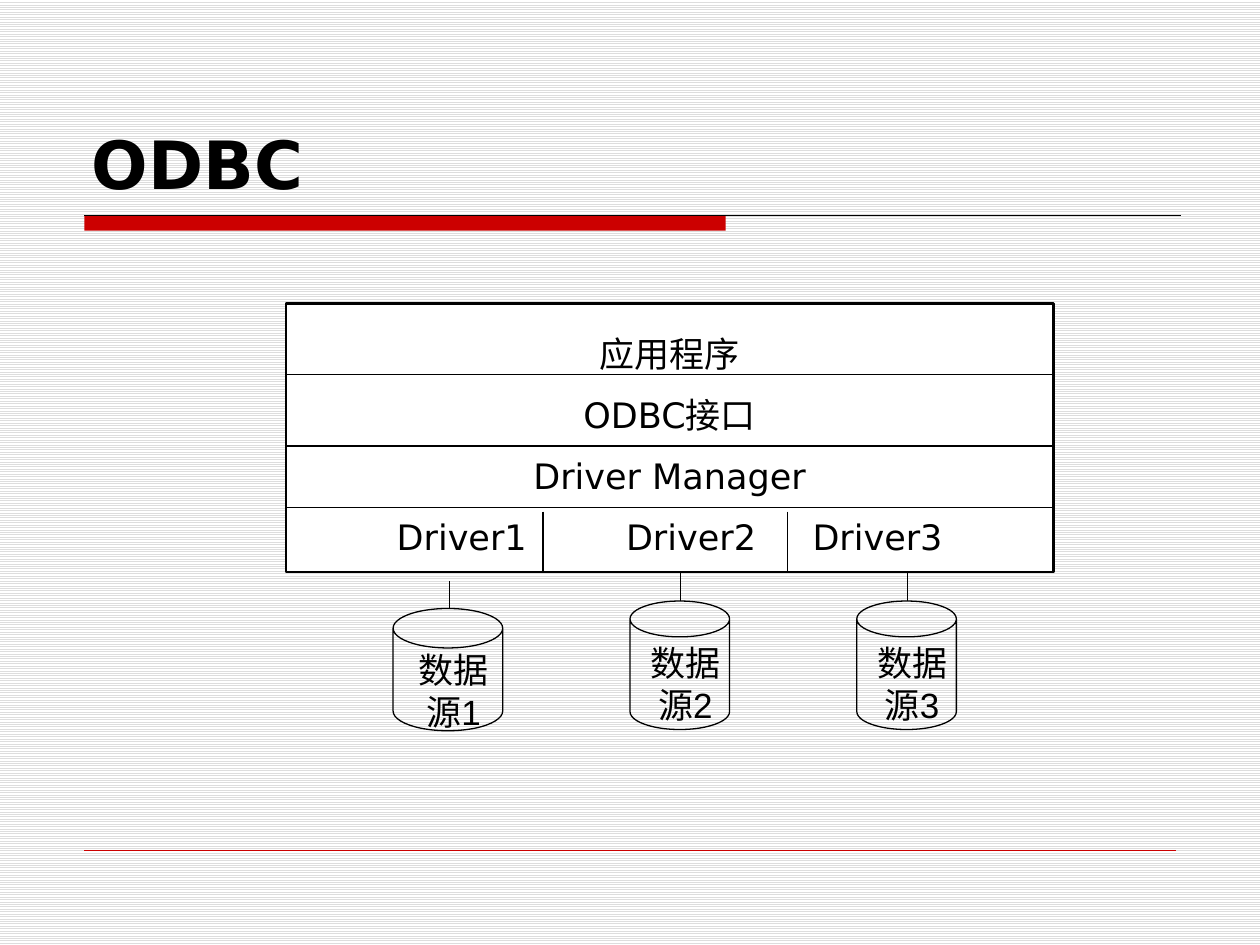
from lxml import etree
from pptx import Presentation
from pptx.dml.color import RGBColor
from pptx.enum.dml import MSO_PATTERN
from pptx.enum.shapes import MSO_CONNECTOR, MSO_SHAPE
from pptx.enum.text import MSO_ANCHOR, PP_ALIGN
from pptx.oxml.ns import qn
from pptx.util import Inches, Pt

BLACK = RGBColor(0, 0, 0)
WHITE = RGBColor(255, 255, 255)
RED = RGBColor(0xCC, 0, 0)
STRIPE = RGBColor(0xDD, 0xDD, 0xDD)

TITLE = "ODBC"
LAYERS = ["应用程序", "ODBC接口", "Driver Manager"]
DRIVERS = ["Driver1", "Driver2", "Driver3"]
DRIVER_TABS = [0.78, 2.6, 4.08]

# left, top, width, height of the layer stack, then its dividers
STACK = (2.27, 2.41, 6.09, 2.13)
LAYER_DIVIDERS = [2.97, 3.54, 4.03]
DRIVER_DIVIDERS = [4.31, 6.25]

# text, cylinder box, connector x, connector top
SOURCES = [
    ("数据源1", (3.12, 4.83, 0.87, 0.97), 3.57, 4.61),
    ("数据源2", (5.00, 4.77, 0.79, 1.02), 5.40, 4.53),
    ("数据源3", (6.80, 4.77, 0.79, 1.02), 7.20, 4.53),
]

presentation = Presentation()
presentation.slide_width, presentation.slide_height = Inches(10), Inches(7.5)
slide = presentation.slides.add_slide(presentation.slide_layouts[6])


def add_line(x1, y1, x2, y2, color=BLACK, width=0.75):
    line = slide.shapes.add_connector(
        MSO_CONNECTOR.STRAIGHT, *map(Inches, (x1, y1, x2, y2)))
    line.line.color.rgb = color
    line.line.width = Pt(width)
    etree.SubElement(line._element.spPr, qn("a:effectLst"))


def add_shape(kind, box, fill=None, line=None, width=0.75):
    shape = slide.shapes.add_shape(kind, *map(Inches, box))
    shape.shadow.inherit = False
    if fill is None:
        shape.fill.background()
    else:
        shape.fill.solid()
        shape.fill.fore_color.rgb = fill
    if line is None:
        shape.line.fill.background()
    else:
        shape.line.color.rgb = line
        shape.line.width = Pt(width)
    return shape


def write(shape, lines, size=20, font="DejaVu Sans", bold=False,
          align=PP_ALIGN.CENTER, anchor=MSO_ANCHOR.TOP,
          insets=(0.1, 0.05, 0.1, 0.05), spacing=None):
    frame = shape.text_frame
    frame.word_wrap = True
    frame.vertical_anchor = anchor
    (frame.margin_left, frame.margin_top,
     frame.margin_right, frame.margin_bottom) = map(Inches, insets)
    for index, text in enumerate(lines):
        paragraph = frame.add_paragraph() if index else frame.paragraphs[0]
        paragraph.alignment = align
        paragraph.line_spacing = spacing
        run = paragraph.add_run()
        run.text = text
        run.font.name = font
        run.font.size = Pt(size)
        run.font.bold = bold
        run.font.color.rgb = BLACK
    return frame


def set_tabs(paragraph, positions):
    paragraph.alignment = PP_ALIGN.LEFT
    tabs = etree.SubElement(paragraph._p.get_or_add_pPr(), qn("a:tabLst"))
    for position in positions:
        etree.SubElement(tabs, qn("a:tab"), pos=str(Inches(position)), algn="l")


background = slide.background.fill
background.patterned()
background.pattern = MSO_PATTERN.LIGHT_HORIZONTAL
background.fore_color.rgb = STRIPE
background.back_color.rgb = WHITE

add_shape(MSO_SHAPE.RECTANGLE, (0.67, 1.71, 5.09, 0.12), fill=RED)
add_line(0.67, 1.71, 9.37, 1.71)
add_line(0.67, 6.75, 9.33, 6.75, color=RED, width=0.25)

title = slide.shapes.add_textbox(*map(Inches, (0.63, 0.33, 8.75, 1.33)))
write(title, [TITLE], size=38, bold=True, align=PP_ALIGN.LEFT,
      anchor=MSO_ANCHOR.BOTTOM)

for name, (left, top, width, height), x, line_top in SOURCES:
    cylinder = add_shape(MSO_SHAPE.CAN, (left, top, width, height), line=BLACK)
    cylinder.adjustments[0] = 0.36
    label = slide.shapes.add_textbox(
        *map(Inches, (left + 0.09, top + 0.31, width - 0.09, 0.69)))
    write(label, [name], font="Arial", insets=(0.04, 0.01, 0.04, 0.01))
    add_line(x, line_top, x, top)

stack = add_shape(MSO_SHAPE.RECTANGLE, STACK, fill=WHITE, line=BLACK, width=1.5)
driver_row = "".join("\t" + driver for driver in DRIVERS)
frame = write(stack, LAYERS + [driver_row], anchor=MSO_ANCHOR.MIDDLE,
              insets=(0.1, 0.01, 0.1, 0.05), spacing=1.45)
set_tabs(frame.paragraphs[-1], DRIVER_TABS)

stack_left, stack_top, stack_width, stack_height = STACK
for y in LAYER_DIVIDERS:
    add_line(stack_left, y, stack_left + stack_width, y)
for x in DRIVER_DIVIDERS:
    add_line(x, 4.06, x, stack_top + stack_height)

presentation.save("out.pptx")
